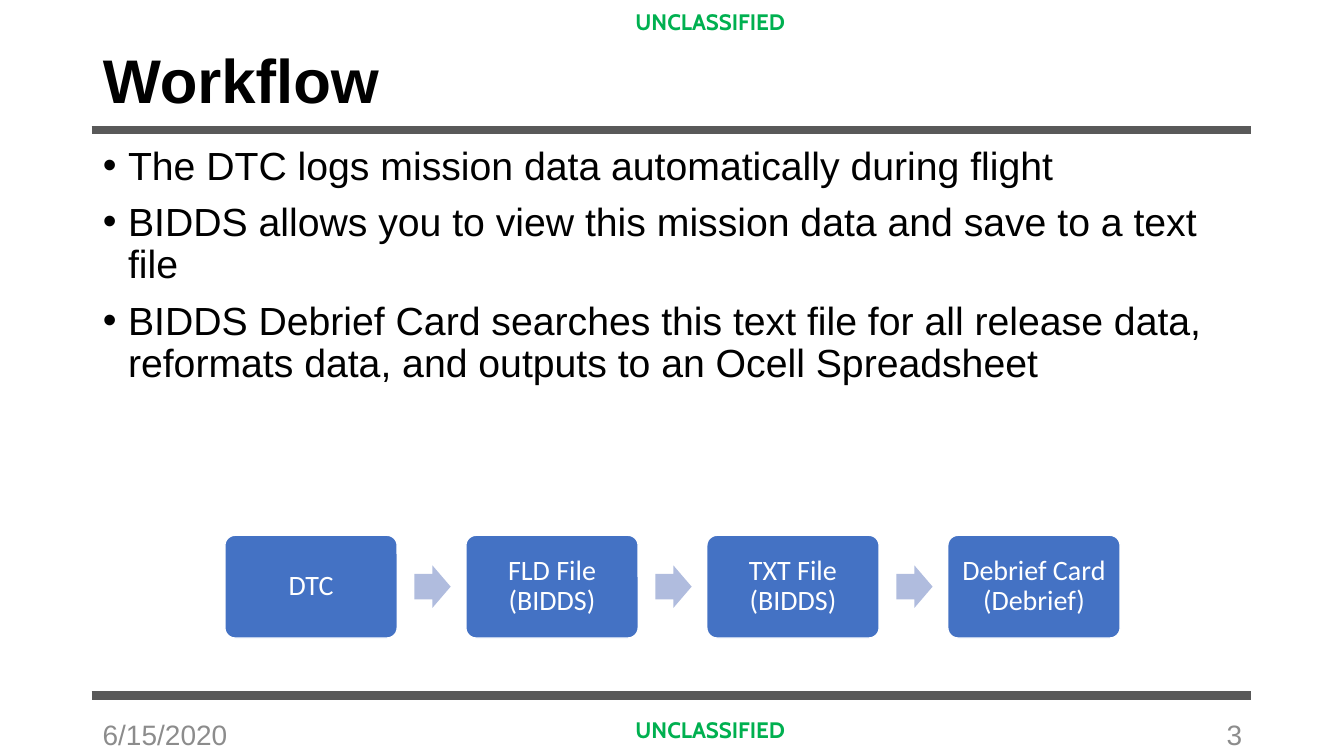
from lxml import etree
from pptx import Presentation
from pptx.dml.color import RGBColor
from pptx.enum.shapes import MSO_CONNECTOR, MSO_SHAPE
from pptx.enum.text import MSO_ANCHOR, MSO_AUTO_SIZE, PP_ALIGN
from pptx.oxml.ns import qn
from pptx.util import Inches, Pt

LEFT, CENTER, RIGHT = PP_ALIGN.LEFT, PP_ALIGN.CENTER, PP_ALIGN.RIGHT
TOP, MIDDLE = MSO_ANCHOR.TOP, MSO_ANCHOR.MIDDLE
NO_FIT = MSO_AUTO_SIZE.NONE
STRAIGHT = MSO_CONNECTOR.STRAIGHT
ROUNDED, ARROW = MSO_SHAPE.ROUNDED_RECTANGLE, MSO_SHAPE.RIGHT_ARROW

BLACK = RGBColor(0x00, 0x00, 0x00)
WHITE = RGBColor(0xFF, 0xFF, 0xFF)
GREEN = RGBColor(0x00, 0xB0, 0x50)
DARK_GRAY = RGBColor(0x59, 0x59, 0x59)
GRAY = RGBColor(0x8C, 0x8C, 0x8C)
BLUE = RGBColor(0x44, 0x72, 0xC4)
PALE_BLUE = RGBColor(0xB0, 0xBC, 0xDE)


class WorkflowSlide:
    heading_font = "Arial"
    marking_font = "Cabin"
    step_font = "Calibri"

    def __init__(self, presentation):
        self.slide = presentation.slides.add_slide(presentation.slide_layouts[1])

    def place(self, shape, left, top, width, height):
        shape.left, shape.top = Inches(left), Inches(top)
        shape.width, shape.height = Inches(width), Inches(height)

    def format_frame(self, frame, anchor, side=0.1, edge=0.05):
        frame.word_wrap = True
        frame.auto_size = NO_FIT
        frame.vertical_anchor = anchor
        frame.margin_left = frame.margin_right = Inches(side)
        frame.margin_top = frame.margin_bottom = Inches(edge)

    def format_paragraph(self, paragraph, font, size, color, align=LEFT, bold=False, spacing=1.0):
        paragraph.alignment = align
        paragraph.line_spacing = spacing
        paragraph.font.name = font
        paragraph.font.size = Pt(size)
        paragraph.font.bold = bold
        paragraph.font.color.rgb = color

    def title(self, text):
        title = self.slide.shapes.title
        self.place(title, 0.92, 0.4, 11.5, 0.85)
        title.text_frame.text = text
        self.format_frame(title.text_frame, MIDDLE)
        self.format_paragraph(title.text_frame.paragraphs[0], self.heading_font, 44, BLACK,
                              bold=True, spacing=0.9)

    def bullets(self, points):
        body = self.slide.placeholders[1]
        self.place(body, 0.92, 1.4, 11.5, 5.36)
        frame = body.text_frame
        frame.text = "\n".join(points)
        self.format_frame(frame, TOP)
        for index, paragraph in enumerate(frame.paragraphs):
            properties = paragraph._p.get_or_add_pPr()
            properties.set("marL", str(Inches(0.25)))
            properties.set("indent", str(Inches(-0.25)))
            etree.SubElement(properties, qn("a:buFont")).set("typeface", self.heading_font)
            etree.SubElement(properties, qn("a:buChar")).set("char", "•")
            self.format_paragraph(paragraph, self.heading_font, 28, BLACK, spacing=0.9)
            paragraph.space_before = Pt(10 if index else 0)

    def label(self, text, left, top, width, height, font, size, color, align=LEFT,
              bold=False, anchor=MIDDLE):
        box = self.slide.shapes.add_textbox(
            Inches(left), Inches(top), Inches(width), Inches(height))
        box.text_frame.text = text
        self.format_frame(box.text_frame, anchor)
        self.format_paragraph(box.text_frame.paragraphs[0], font, size, color, align, bold)

    def marking(self, top):
        self.label("UNCLASSIFIED", 2.03, top, 10.03, 0.37, self.marking_font, 16, GREEN,
                   CENTER, True, TOP)

    def footer(self, text, left, align):
        self.label(text, left, 7.06, 3, 0.44, self.heading_font, 20, GRAY, align)

    def rule(self, top):
        line = self.slide.shapes.add_connector(
            STRAIGHT, Inches(0.91), Inches(top), Inches(12.41), Inches(top))
        line.line.color.rgb = DARK_GRAY
        line.line.width = Pt(6)
        etree.SubElement(line._element.spPr, qn("a:effectLst"))

    def block(self, kind, left, top, width, height, fill, adjustments):
        shape = self.slide.shapes.add_shape(
            kind, Inches(left), Inches(top), Inches(width), Inches(height))
        for index, value in enumerate(adjustments):
            shape.adjustments[index] = value
        shape.shadow.inherit = False
        shape.fill.solid()
        shape.fill.fore_color.rgb = fill
        shape.line.fill.background()
        return shape

    def step(self, text, left):
        step = self.block(ROUNDED, left, 5.31, 1.71, 1.02, BLUE, [0.1])
        step.line.color.rgb = WHITE
        step.line.width = Pt(1)
        step.text_frame.text = text
        self.format_frame(step.text_frame, MIDDLE, 0.11, 0.11)
        self.format_paragraph(step.text_frame.paragraphs[0], self.step_font, 20, WHITE,
                              CENTER, spacing=0.9)

    def arrow(self, left):
        self.block(ARROW, left, 5.61, 0.36, 0.42, PALE_BLUE, [0.6, 0.5])

    def process(self, steps, left=2.23, pitch=2.39, arrow_offset=1.88):
        for index, text in enumerate(steps):
            step_left = left + index * pitch
            self.step(text, step_left)
            if index < len(steps) - 1:
                self.arrow(step_left + arrow_offset)


def main():
    presentation = Presentation()
    presentation.slide_width = Inches(13.33)
    presentation.slide_height = Inches(7.5)
    workflow = WorkflowSlide(presentation)
    for marking_top in (0.03, 7.06):
        workflow.marking(marking_top)
    for rule_top in (6.9, 1.29):
        workflow.rule(rule_top)
    workflow.title("Workflow")
    workflow.bullets([
        "The DTC logs mission data automatically during flight",
        "BIDDS allows you to view this mission data and save to a text file",
        "BIDDS Debrief Card searches this text file for all release data, "
        "reformats data, and outputs to an Ocell Spreadsheet",
    ])
    workflow.footer("6/15/2020", 0.92, LEFT)
    workflow.footer("3", 9.42, RIGHT)
    workflow.process(["DTC", "FLD File (BIDDS)", "TXT File (BIDDS)", "Debrief Card (Debrief)"])
    presentation.save("out.pptx")


if __name__ == "__main__":
    main()
